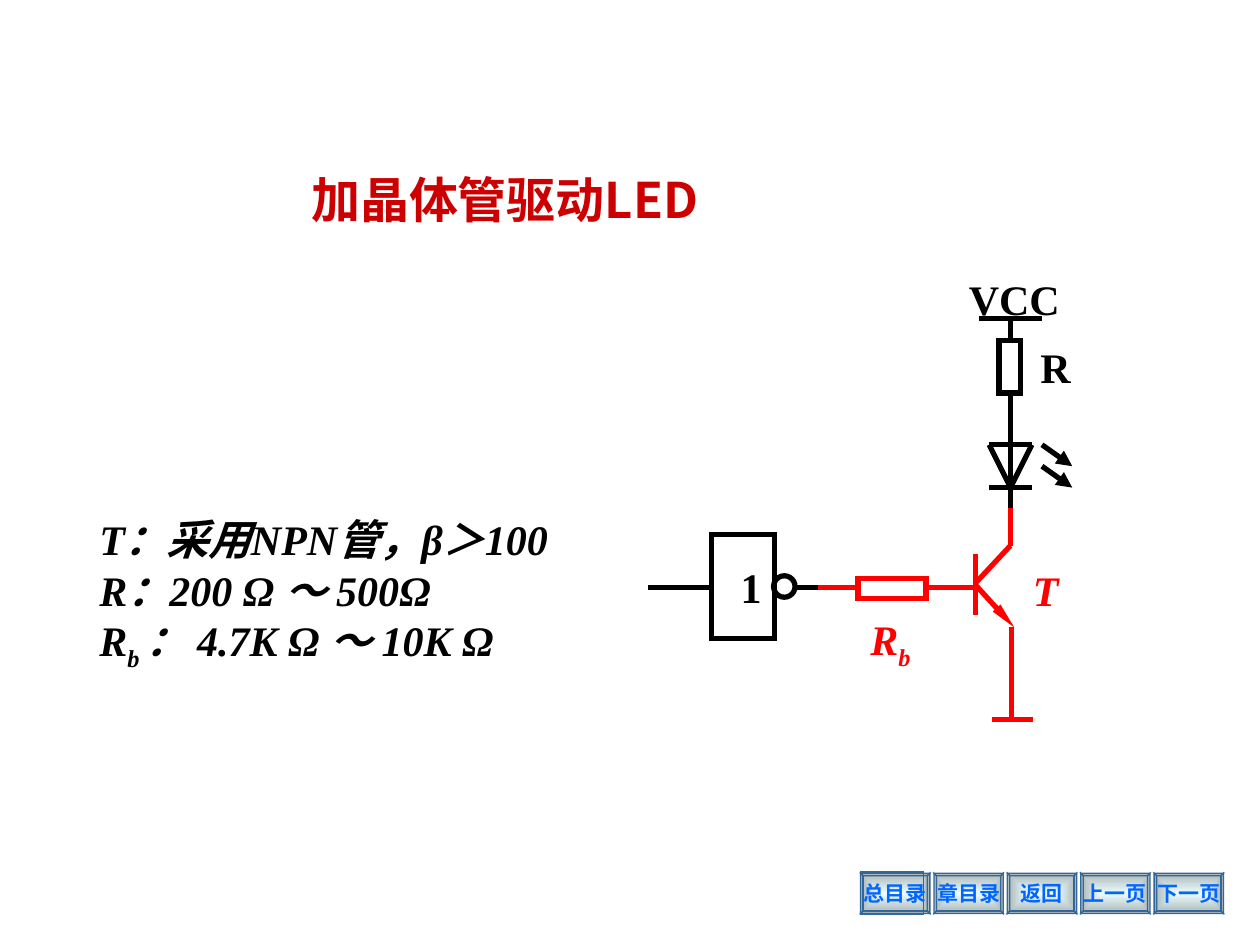
from lxml.etree import SubElement
from pptx import Presentation
from pptx.dml.color import RGBColor
from pptx.enum.shapes import MSO_CONNECTOR, MSO_SHAPE
from pptx.enum.text import MSO_ANCHOR, MSO_AUTO_SIZE, PP_ALIGN
from pptx.oxml.ns import qn
from pptx.util import Inches, Pt

LATIN, CJK = "Times New Roman", "Noto Sans CJK SC"
BLACK, RED, WHITE = "000000", "FF0000", "FFFFFF"
CRIMSON, LINK_BLUE, STEEL = "CC0000", "0066FF", "336699"
PALE, GREY = "ECFDFE", "AAB6B7"

TITLE = "加晶体管驱动LED"
BUTTONS = ["总目录", "章目录", "返回", "上一页", "下一页"]
FIRST_BUTTON, LAST_BUTTON = 6.83, 9.16

# Each run is (text, is subscript)
NOTES = [
    [("T：采用NPN管，β＞100", False)],
    [("R：200 Ω ～ 500Ω", False)],
    [("R", False), ("b ", True), ("： 4.7K Ω ～ 10K Ω", False)],
]

# x1, y1, x2, y2
SUPPLY_AND_LED = [
    (7.77, 2.53, 8.27, 2.53), (8.02, 2.7, 8.02, 2.53),
    (8.02, 3.12, 8.02, 3.28), (8.02, 3.28, 8.02, 4.03),
    (8.19, 3.53, 7.85, 3.53), (8.19, 3.87, 7.85, 3.87),
    (8.19, 3.53, 8.02, 3.87), (7.85, 3.53, 8.02, 3.87),
]
GATE_LEADS = [(5.14, 4.66, 5.65, 4.66), (6.31, 4.66, 6.66, 4.66)]
LIGHT_RAYS = [(8.27, 3.53, 8.51, 3.7), (8.27, 3.7, 8.51, 3.87)]
TRANSISTOR = [
    (8.02, 4.33, 8.02, 4.03), (7.74, 4.4, 7.74, 4.88),
    (7.74, 4.63, 8.02, 4.33), (7.73, 4.66, 6.49, 4.66),
    (8.03, 4.98, 8.03, 5.71), (7.87, 5.71, 8.2, 5.71),
]
EMITTER = (7.74, 4.64, 8.05, 4.98)

# preset, left, top, width, height, line colour, fill colour
PARTS = [
    (MSO_SHAPE.RECTANGLE, 7.93, 2.7, 0.17, 0.42, BLACK, None),
    (MSO_SHAPE.RECTANGLE, 5.65, 4.24, 0.5, 0.83, BLACK, None),
    (MSO_SHAPE.OVAL, 6.14, 4.57, 0.17, 0.17, BLACK, None),
    (MSO_SHAPE.RECTANGLE, 6.81, 4.59, 0.54, 0.16, RED, WHITE),
]

# left, top, width, height, runs, colour, italic
LABELS = [
    (7.59, 2.12, 0.92, 0.5, [("VCC", False)], BLACK, False),
    (8.16, 2.66, 0.44, 0.5, [("R", False)], BLACK, False),
    (5.78, 4.41, 0.36, 0.5, [("1", False)], BLACK, False),
    (6.81, 4.82, 0.77, 0.56, [("R", False), ("b", True)], RED, True),
    (8.1, 4.43, 0.54, 0.5, [("T", False)], RED, True),
]


def rgb(colour):
    return RGBColor.from_string(colour)


def format_span(span, size, colour, italic=False, latin=LATIN):
    font = span.font
    font.size, font.bold, font.italic, font.name = Pt(size), True, italic, latin
    font.color.rgb = rgb(colour)
    SubElement(font._element, qn("a:ea"), typeface=CJK)


def outline(shape, colour, width, fill=None):
    """Give a shape a sharp-cornered line and an optional solid fill."""
    shape.shadow.inherit = False
    shape.line.color.rgb = rgb(colour)
    shape.line.width = Pt(width)
    SubElement(shape.line._get_or_add_ln(), qn("a:miter"), lim="800000")
    if fill:
        shape.fill.solid()
        shape.fill.fore_color.rgb = rgb(fill)
    else:
        shape.fill.background()


def add_part(shapes, preset, left, top, width, height, colour, fill, weight=3):
    part = shapes.add_shape(preset, Inches(left), Inches(top), Inches(width), Inches(height))
    outline(part, colour, weight, fill)


def add_wire(shapes, ends, colour, head=None):
    """Draw a straight line; head is the (width, length) of an arrowhead at its end."""
    wire = shapes.add_connector(MSO_CONNECTOR.STRAIGHT, *[Inches(v) for v in ends])
    wire.line.color.rgb = rgb(colour)
    wire.line.width = Pt(3)
    if head:
        SubElement(wire.line._get_or_add_ln(), qn("a:tailEnd"),
                   type="triangle", w=head[0], len=head[1])
    SubElement(wire._element.spPr, qn("a:effectLst"))


def add_text(shapes, left, top, width, height, paragraphs, colour, italic, wrap):
    box = shapes.add_textbox(Inches(left), Inches(top), Inches(width), Inches(height))
    frame = box.text_frame
    frame.word_wrap = wrap
    frame.auto_size = MSO_AUTO_SIZE.SHAPE_TO_FIT_TEXT
    for index, runs in enumerate(paragraphs):
        para = frame.add_paragraph() if index else frame.paragraphs[0]
        for text, subscript in runs:
            span = para.add_run()
            span.text = text
            format_span(span, 24, colour, italic)
            if subscript:
                span.font._element.set("baseline", "-25000")


def add_button(shapes, button_left, label):
    """Draw a bevelled button: four sloping sides round an inner face."""
    left, top, width, height, bevel = map(Inches, (button_left, 6.93, 0.55, 0.32, 0.02))
    right, bottom = left + width, top + height
    outer = [(left, top), (right, top), (right, bottom), (left, bottom)]
    inner = [(left + bevel, top + bevel), (right - bevel, top + bevel),
             (right - bevel, bottom - bevel), (left + bevel, bottom - bevel)]
    sides = [[outer[i - 1], outer[i], inner[i], inner[i - 1]] for i in range(4)]
    builder = shapes.build_freeform(*inner[0])
    builder.add_line_segments(inner[1:], close=True)
    for side in sides:
        builder.move_to(*side[0])
        builder.add_line_segments(side[1:], close=True)
    button = builder.convert_to_shape()
    outline(button, STEEL, 0.75)

    button.fill.gradient()
    for stop, colour, position in zip(button.fill.gradient_stops, (PALE, GREY), (0, 1)):
        stop.color.rgb = rgb(colour)
        stop.position = position
    gradient = button._element.spPr.find(qn("a:gradFill"))
    gradient.remove(gradient.find(qn("a:lin")))
    centre = SubElement(gradient, qn("a:path"), path="rect")
    SubElement(centre, qn("a:fillToRect"), l="50000", t="50000", r="50000", b="50000")

    frame = button.text_frame
    frame.text = label
    frame.word_wrap = False
    frame.vertical_anchor = MSO_ANCHOR.MIDDLE
    frame.paragraphs[0].alignment = PP_ALIGN.CENTER
    format_span(frame.paragraphs[0].runs[0], 12, LINK_BLUE)


def add_title(slide):
    title = slide.shapes.title
    title.left, title.top, title.width, title.height = map(Inches, (1.2, 1.23, 5.61, 0.63))
    frame = title.text_frame
    frame.text = TITLE
    frame.vertical_anchor = MSO_ANCHOR.BOTTOM
    frame.paragraphs[0].alignment = PP_ALIGN.CENTER
    format_span(frame.paragraphs[0].runs[0], 28, CRIMSON, latin=CJK)


def add_circuit(slide):
    shapes = slide.shapes.add_group_shape().shapes
    for ends in SUPPLY_AND_LED + GATE_LEADS:
        add_wire(shapes, ends, BLACK)
    for ends in LIGHT_RAYS:
        add_wire(shapes, ends, BLACK, ("med", "med"))
    for ends in TRANSISTOR:
        add_wire(shapes, ends, RED)
    add_wire(shapes, EMITTER, RED, ("sm", "lg"))
    for part in PARTS:
        add_part(shapes, *part)
    for *place, runs, colour, italic in LABELS:
        add_text(shapes, *place, [runs], colour, italic, wrap=False)


def main():
    deck = Presentation()
    deck.slide_width, deck.slide_height = Inches(10), Inches(7.5)
    slide = deck.slides.add_slide(deck.slide_layouts[5])
    pitch = (LAST_BUTTON - FIRST_BUTTON) / (len(BUTTONS) - 1)
    for index, label in enumerate(BUTTONS):
        add_button(slide.shapes, FIRST_BUTTON + pitch * index, label)
    add_part(slide.shapes, MSO_SHAPE.RECTANGLE, 6.83, 6.92, 0.5, 0.34, STEEL, None, 0.75)
    add_title(slide)
    add_circuit(slide)
    add_text(slide.shapes, 0.69, 4.03, 4.13, 1.76, NOTES, BLACK, True, wrap=True)
    deck.save("out.pptx")


if __name__ == "__main__":
    main()
